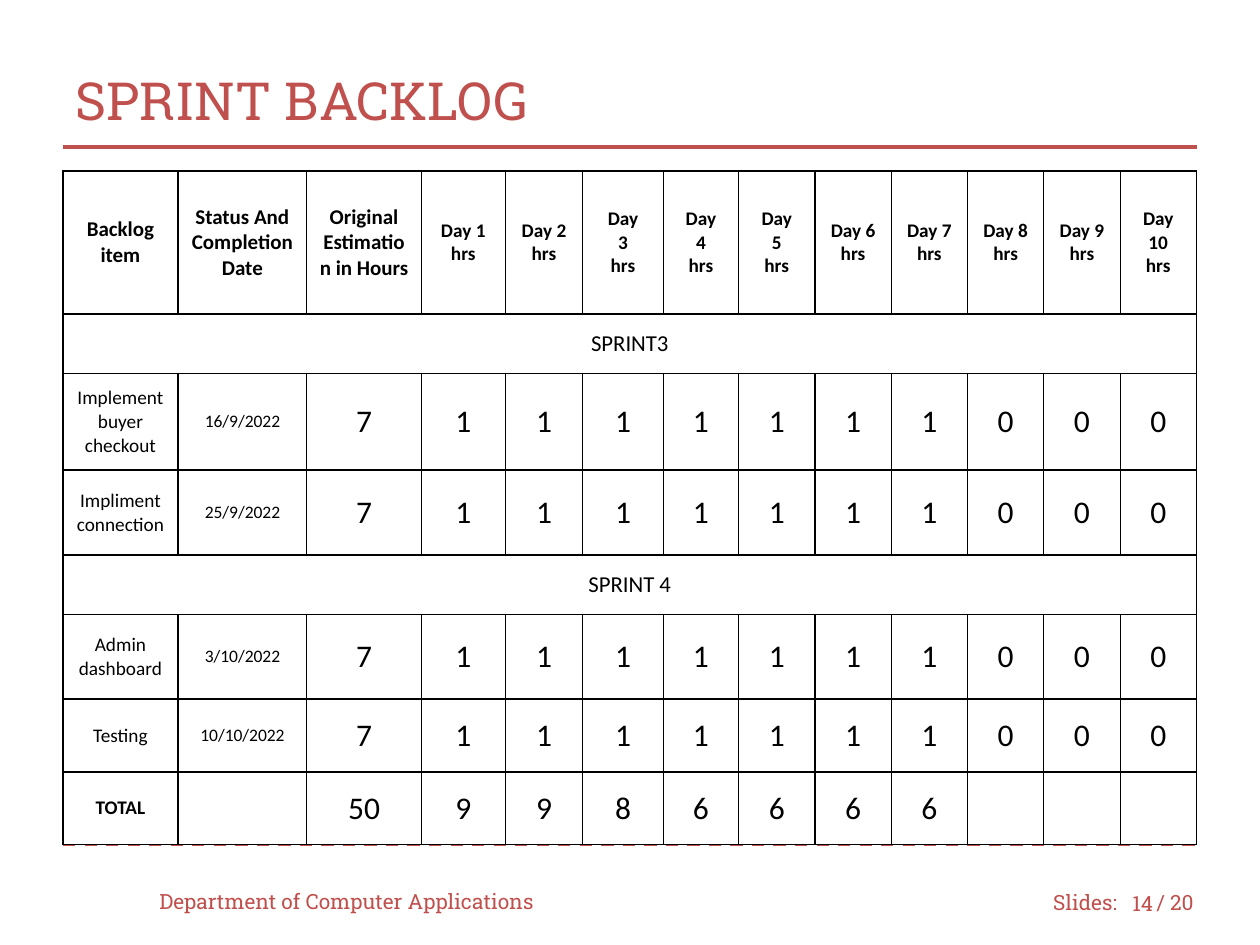
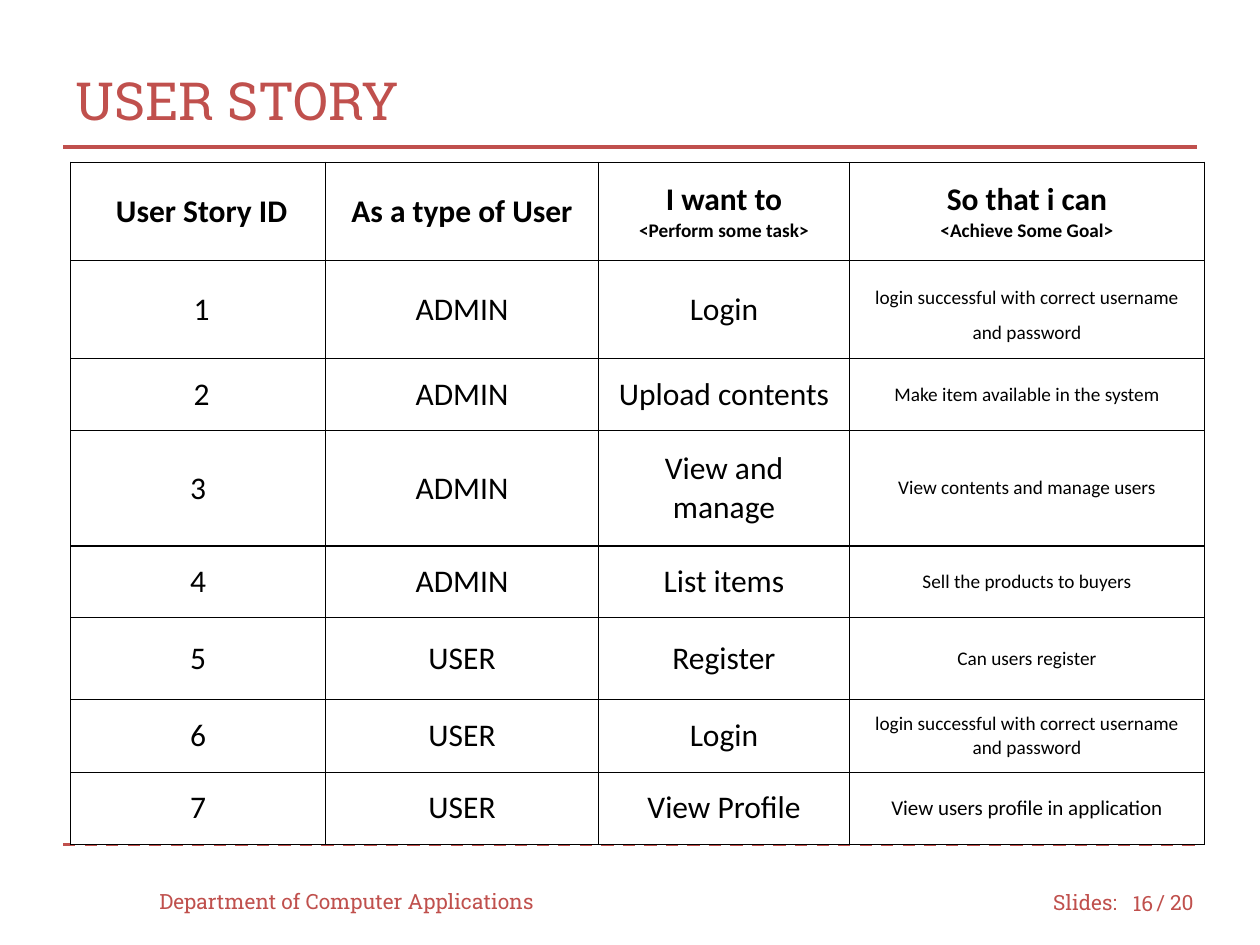
"""Builds the sprint backlog and user story slides."""
from dataclasses import dataclass

from lxml import etree
from pptx import Presentation
from pptx.dml.color import RGBColor
from pptx.enum.dml import MSO_LINE
from pptx.enum.shapes import MSO_CONNECTOR
from pptx.enum.text import MSO_ANCHOR, PP_ALIGN
from pptx.oxml.ns import qn
from pptx.util import Pt

LEFT, CENTER, RIGHT = PP_ALIGN.LEFT, PP_ALIGN.CENTER, PP_ALIGN.RIGHT
MIDDLE, STRAIGHT, DASH = MSO_ANCHOR.MIDDLE, MSO_CONNECTOR.STRAIGHT, MSO_LINE.DASH


@dataclass(frozen=True)
class Theme:
    accent: str = "C0504D"
    ink: str = "000000"
    paper: str = "FFFFFF"
    heading_font: str = "Roboto Slab"
    table_font: str = "Calibri"
    title: int = 30
    footer: int = 12
    large: int = 18
    sprint: int = 13
    header: int = 12
    small: int = 11
    date: int = 10
    rule: float = 1.75
    border: float = 0.75
    inset: float = 7.2


T = Theme()

SPLIT_DAYS = (3, 4, 5)
DAYS = [f"Day\n{d}\nhrs" if d in SPLIT_DAYS else f"Day {d}\nhrs" for d in range(1, 11)]
HOURS = ["7"] + ["1"] * 7 + ["0"] * 3
BACKLOG = [
    ["Backlog item", "Status And Completion Date", "Original Estimation in Hours", *DAYS],
    ["SPRINT3"],
    ["Implement buyer checkout", "16/9/2022", *HOURS],
    ["Impliment connection", "25/9/2022", *HOURS],
    ["SPRINT 4"],
    ["Admin dashboard", "3/10/2022", *HOURS],
    ["Testing", "10/10/2022", *HOURS],
    ["TOTAL", "", "50", "9", "9", "8", "6", "6", "6", "6", "", "", ""],
]

STORIES = [
    [" User Story ID", "As a type of User", "I want to\n<Perform some task>",
     "So that i can\n<Achieve Some Goal>"],
    [" 1", "ADMIN", "Login", "login successful with correct username and password"],
    [" 2", "ADMIN", "Upload contents", "Make item available in the system"],
    ["3", "ADMIN", "View and manage", "View contents and manage users"],
    ["4", "ADMIN", "List items", "Sell the products to buyers"],
    ["5", "USER", "Register", "Can users register"],
    ["6", "USER", "Login", "login successful with correct username and password"],
    ["7", "USER", "View Profile", "View users profile in application"],
]


def backlog_style(row, col, line):
    """Return size and boldness of a backlog line."""
    if row == 0:
        return (T.header if col < 3 else T.small), True
    if len(BACKLOG[row]) == 1:
        return T.sprint, False
    return (T.small, T.date, T.large)[min(col, 2)], BACKLOG[row][col] == "TOTAL"


def story_style(row, col, line):
    """Return size and boldness of a user story line."""
    if row == 0:
        return (T.small if line else T.large), True
    if col < 3:
        return T.large, False
    return (T.header if row == len(STORIES) - 1 else T.small), False


SLIDES = [
    dict(title="SPRINT BACKLOG", number="14", rows=BACKLOG, style=backlog_style,
         at=(36, 97.7), widths=[65.7, 73.7, 65.4, 48, 44.3, 46, 43.1] + [43.6] * 6,
         heights=[81.7, 34, 55.2, 48.6, 34, 48.3, 41.7, 41.5], loose=None),
    dict(title="USER STORY", number="16", rows=STORIES, style=story_style,
         at=(40.5, 92.7), widths=[145.4, 156.3, 143.1, 203.2],
         heights=[56.2, 56.1, 41.1, 66, 41, 46.5, 41.7, 41.2], loose=(1, 3)),
]


def add_run(p, text, size, color, font, bold=False):
    """Add one formatted run."""
    r = p.add_run()
    r.text = text
    r.font.size, r.font.name, r.font.bold = Pt(size), font, bold
    r.font.color.rgb = RGBColor.from_string(color)


def add_label(s, text, left, top, width, align=LEFT):
    """Add a footer label."""
    tf = s.shapes.add_textbox(Pt(left), Pt(top), Pt(width), Pt(28.8)).text_frame
    tf.word_wrap, tf.vertical_anchor = True, MIDDLE
    tf.paragraphs[0].alignment = align
    add_run(tf.paragraphs[0], text, T.footer, T.accent, T.heading_font)


def add_rule(s, y, dash=None):
    """Add a full-width rule."""
    line = s.shapes.add_connector(STRAIGHT, Pt(36), Pt(y), Pt(684), Pt(y))
    line.line.color.rgb = RGBColor.from_string(T.accent)
    line.line.width = Pt(T.rule)
    if dash:
        line.line.dash_style = dash
    etree.SubElement(line.element.spPr, qn("a:effectLst"))


def add_frame(s, title, number):
    """Add the title, rules and footer."""
    sp = s.shapes.title
    sp.left, sp.top, sp.width, sp.height = Pt(36), Pt(24), Pt(648), Pt(66)
    sp.text_frame.vertical_anchor = MIDDLE
    p = sp.text_frame.paragraphs[0]
    p.alignment = LEFT
    add_run(p, title, T.title, T.accent, T.heading_font)
    add_rule(s, 482.4, DASH)
    add_rule(s, 84)
    add_label(s, "Slides:", 594.7, 501, 54)
    add_label(s, "/ 20", 653.8, 501, 42)
    add_label(s, "Department of Computer Applications", 84, 500.4, 240)
    add_label(s, number, 635.8, 501.8, 30.2, RIGHT)


def format_cell(cell):
    """Set insets, fill and borders of a cell."""
    cell.margin_left = cell.margin_right = Pt(T.inset)
    cell.margin_top = cell.margin_bottom = Pt(T.inset)
    cell.vertical_anchor = MIDDLE
    cell.fill.solid()
    cell.fill.fore_color.rgb = RGBColor.from_string(T.paper)
    tc_pr = cell._tc.get_or_add_tcPr()
    for i, side in enumerate(("lnL", "lnR", "lnT", "lnB")):
        ln = etree.Element(qn(f"a:{side}"), w=str(int(Pt(T.border))))
        fill = etree.SubElement(ln, qn("a:solidFill"))
        etree.SubElement(fill, qn("a:srgbClr"), val=T.ink)
        tc_pr.insert(i, ln)


def add_grid(s, rows, style, at, widths, heights, loose):
    """Add a bordered table; single-item rows span its full width."""
    table = s.shapes.add_table(len(rows), len(widths), Pt(at[0]), Pt(at[1]),
                               Pt(sum(widths)), Pt(sum(heights))).table
    for column, width in zip(table.columns, widths):
        column.width = Pt(width)
    for row, height in zip(table.rows, heights):
        row.height = Pt(height)
    for cell in table.iter_cells():
        format_cell(cell)
    for i, row in enumerate(rows):
        if len(row) == 1:
            table.cell(i, 0).merge(table.cell(i, len(widths) - 1))
        for j, text in enumerate(row):
            if not text:
                continue
            tf = table.cell(i, j).text_frame
            for k, line in enumerate(text.split("\n")):
                p = tf.add_paragraph() if k else tf.paragraphs[0]
                p.alignment = CENTER
                size, bold = style(i, j, k)
                add_run(p, line, size, T.ink, T.table_font, bold)
                if (i, j) == loose:
                    p.line_spacing = Pt(20)


def main():
    """Build and save the presentation."""
    prs = Presentation()
    prs.slide_width, prs.slide_height = Pt(720), Pt(540)
    for item in SLIDES:
        s = prs.slides.add_slide(prs.slide_layouts[5])
        add_frame(s, item["title"], item["number"])
        add_grid(s, *(item[key] for key in
                      ("rows", "style", "at", "widths", "heights", "loose")))
    prs.save("out.pptx")


if __name__ == "__main__":
    main()
